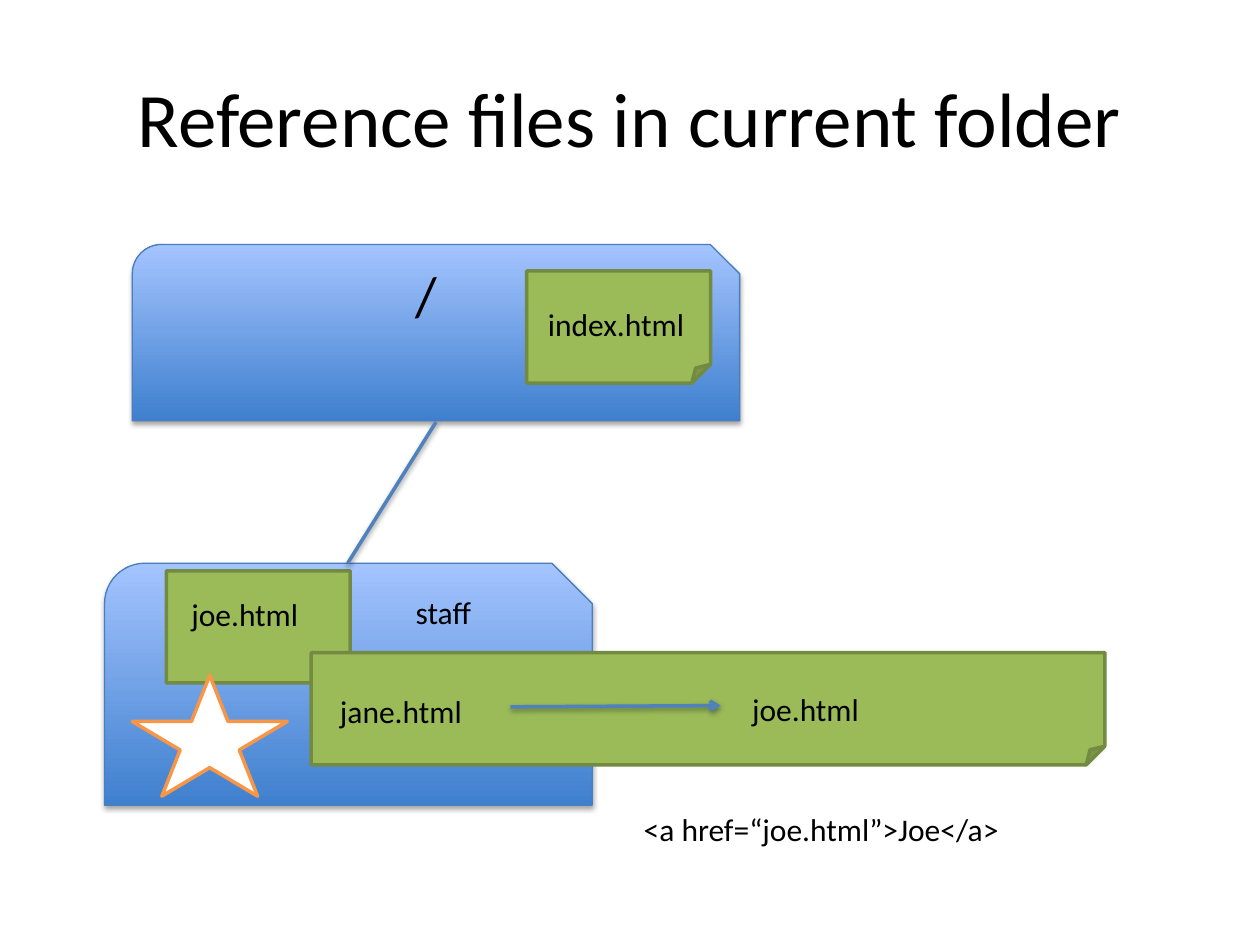
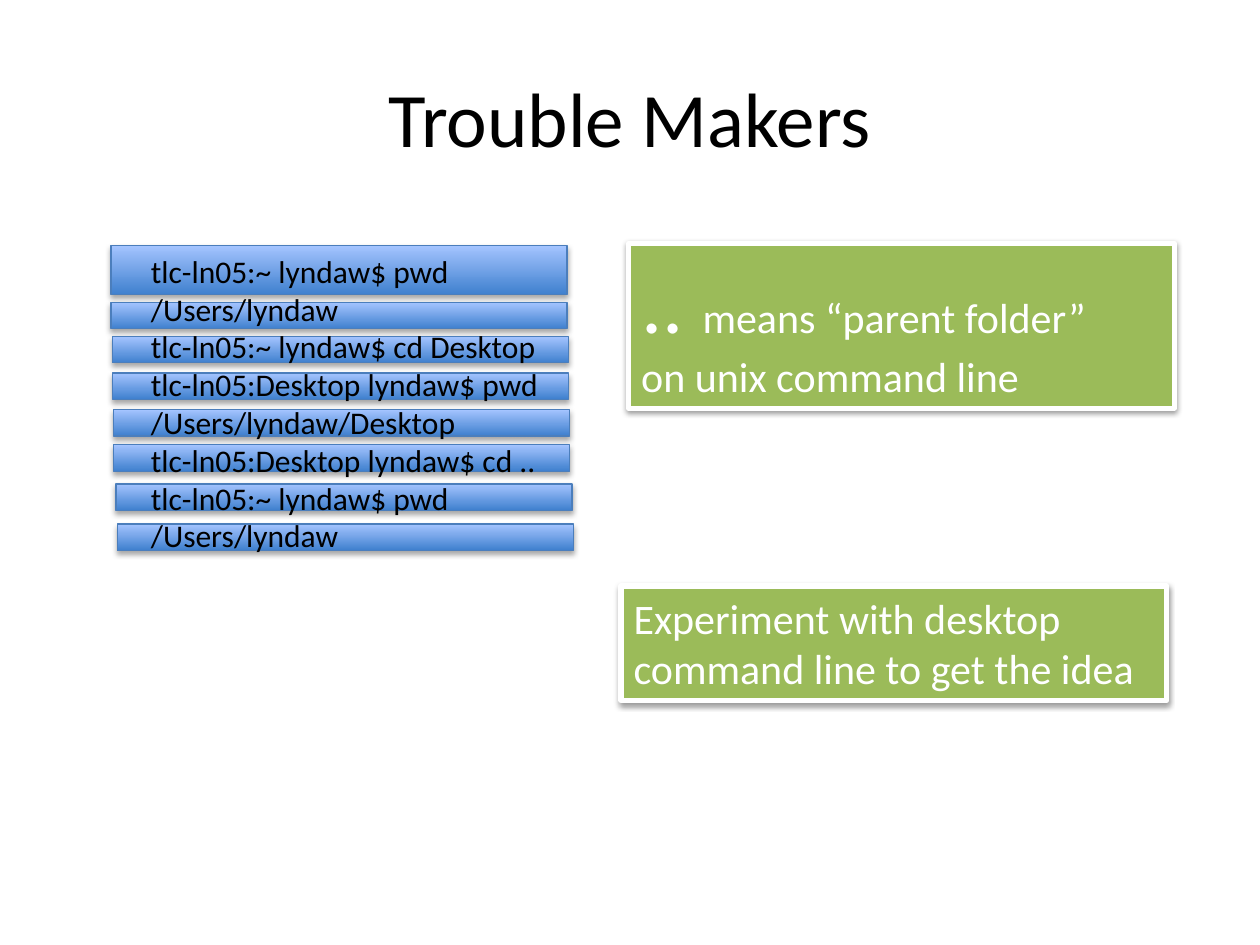
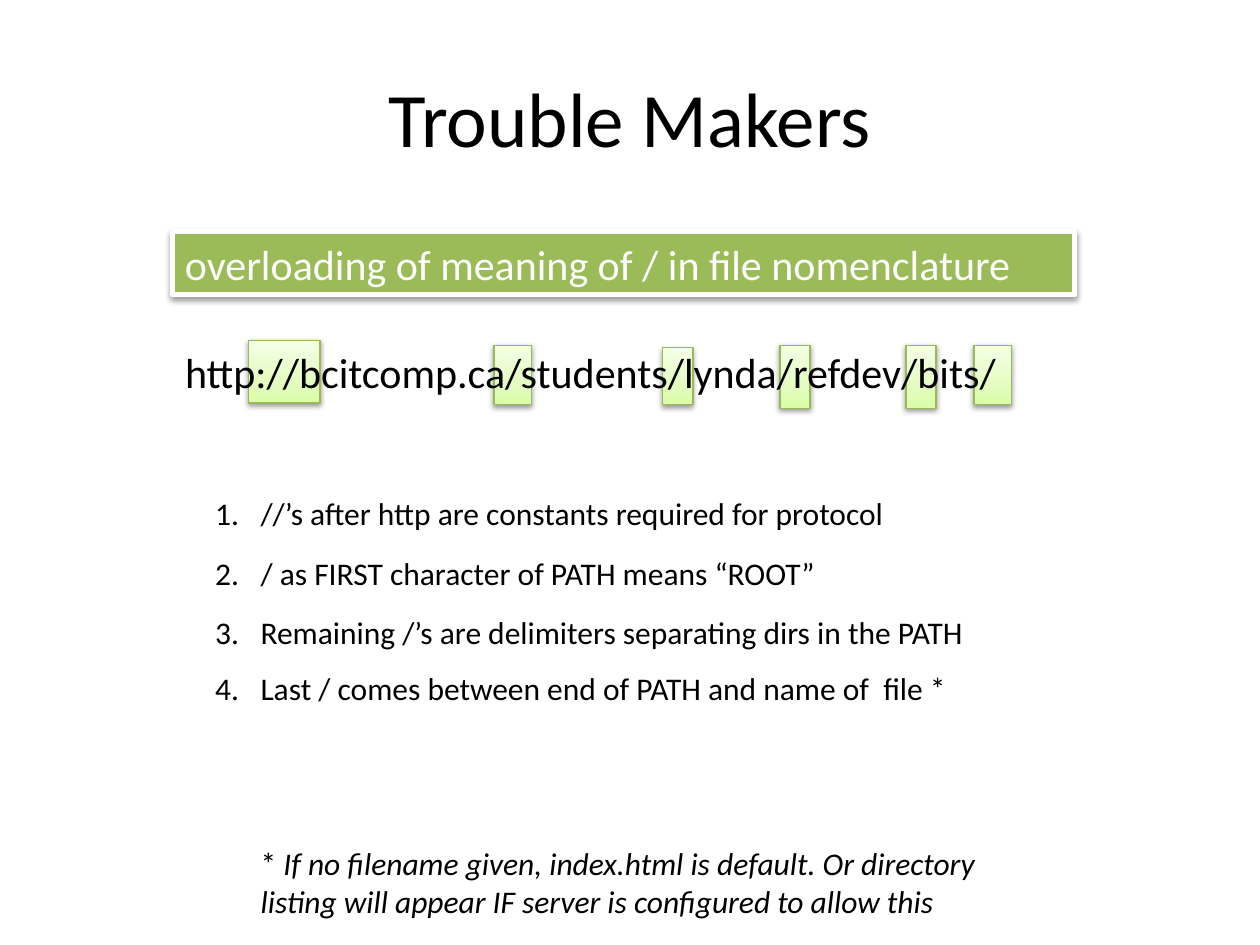
"""Build three slides on file references, parent folders and slashes in addresses."""
from copy import deepcopy

from lxml.etree import SubElement
from pptx import Presentation
from pptx.dml.color import RGBColor
from pptx.enum.shapes import MSO_CONNECTOR, MSO_SHAPE
from pptx.enum.text import MSO_ANCHOR, PP_ALIGN
from pptx.oxml.ns import qn
from pptx.util import Inches, Pt

COLORS = {
    "black": "000000", "white": "FFFFFF", "leaf": "9BBB59", "leaf edge": "738A42",
    "blue": "4F81BD", "blue edge": "4B7EBC", "deep blue": "3F80CE", "pale blue": "A4C4FF",
    "orange": "F79646", "mint edge": "98B955", "mint": "DAFDA7", "pale mint": "E4FCC2",
    "mist": "F5FFE7",
}
LOOKS = {
    "folder": {"fill": [(0, "deep blue"), (1, "pale blue")], "line": ("blue edge", 0.75), "shadow": (35, 1.8)},
    "file": {"fill": [(0, "leaf")], "line": ("leaf edge", 2)},
    "star": {"fill": [(0, "white")], "line": ("orange", 2)},
    "link": {"line": ("blue", 2), "shadow": (38, 1.6)},
    "callout": {"fill": [(0, "leaf")], "line": ("white", 3), "shadow": (38, 1.6)},
    "marker": {"fill": [(0, "mint"), (0.35, "pale mint"), (1, "mist")], "line": ("mint edge", 0.75),
               "shadow": (38, 1.6)},
}
FONT = "Calibri"
COLUMNS, ROWS = 100, 75
TITLE_BOX = (5, 3, 90, 12.5)

presentation = Presentation()
presentation.slide_width, presentation.slide_height = Inches(10), Inches(7.5)
column = presentation.slide_width / COLUMNS
row = presentation.slide_height / ROWS


def draw(slide, kind, box, look_name=None):
    """Add a text box (no kind), connector or preset shape at grid places, with a named look."""
    place = [round(value * unit) for value, unit in zip(box, (column, row, column, row))]
    if kind is None:
        return slide.shapes.add_textbox(*place)
    look = LOOKS[look_name]
    if kind == MSO_CONNECTOR.STRAIGHT and look_name == "link":
        shape = slide.shapes.add_connector(kind, *place)
    else:
        shape = slide.shapes.add_shape(kind, *place)
        stops = look["fill"]
        if len(stops) == 1:
            shape.fill.solid()
            shape.fill.fore_color.rgb = RGBColor.from_string(COLORS[stops[0][1]])
        else:
            shape.fill.gradient()
            shape.fill.gradient_angle = 90
            stop_list = shape._element.spPr.find(".//" + qn("a:gsLst"))
            for _ in stops[2:]:
                stop_list.insert(1, deepcopy(stop_list[0]))
            for stop, (position, color) in zip(shape.fill.gradient_stops, stops):
                stop.position = position
                stop.color.rgb = RGBColor.from_string(COLORS[color])
    color, width = look["line"]
    shape.line.color.rgb = RGBColor.from_string(COLORS[color])
    shape.line.width = Pt(width)
    effects = SubElement(shape._element.spPr, qn("a:effectLst"))
    if "shadow" in look:
        opacity, distance = look["shadow"]
        shadow = SubElement(effects, qn("a:outerShdw"), blurRad=str(Pt(3.1)), dist=str(Pt(distance)),
                            dir="5400000", rotWithShape="0")
        shadow_color = SubElement(shadow, qn("a:srgbClr"), val=COLORS["black"])
        SubElement(shadow_color, qn("a:alpha"), val=str(opacity * 1000))
    return shape


def write(shape, lines, size=18, color="black", alignment=PP_ALIGN.LEFT, anchor=MSO_ANCHOR.TOP):
    """Fill a shape with one paragraph a line and return the paragraphs."""
    frame = shape.text_frame
    frame.word_wrap = True
    frame.vertical_anchor = anchor
    frame.text = "\n".join(lines)
    for paragraph in frame.paragraphs:
        paragraph.alignment = alignment
        paragraph.font.name = FONT
        paragraph.font.size = Pt(size)
        paragraph.font.color.rgb = RGBColor.from_string(COLORS[color])
    return frame.paragraphs


slides = []
for title in ("Reference files in current folder", "Trouble Makers", "Trouble Makers"):
    slide = presentation.slides.add_slide(presentation.slide_layouts[6])
    slides.append(slide)
    if title != "Trouble Makers":
        write(draw(slide, None, TITLE_BOX), [title], 44, "black", PP_ALIGN.CENTER, MSO_ANCHOR.MIDDLE)
    else:
        write(draw(slide, None, TITLE_BOX), [title], 44, "black", PP_ALIGN.CENTER, MSO_ANCHOR.MIDDLE)
folder_slide, terminal_slide, address_slide = slides

for box in ((10.5, 19.4, 48.2, 14), (8.3, 44.7, 38.7, 19.2)):
    draw(folder_slide, MSO_SHAPE.SNIP_ROUND_RECTANGLE, box, "folder")
for box in ((41.8, 21.5, 14.6, 8.9), (13.2, 45.3, 14.6, 8.9), (24.7, 51.8, 63, 8.9)):
    draw(folder_slide, MSO_SHAPE.FOLDED_CORNER, box, "file")
draw(folder_slide, MSO_CONNECTOR.STRAIGHT, (34.6, 33.5, 27.6, 44.7), "link")
draw(folder_slide, MSO_SHAPE.STAR_5_POINT, (10.5, 53.6, 12.3, 9.6), "star")
arrow = draw(folder_slide, MSO_CONNECTOR.STRAIGHT, (40.5, 56.1, 57.2, 56), "link")
SubElement(arrow.line._get_or_add_ln(), qn("a:tailEnd"), type="arrow")
for label, size, box in (
    ("/", 32, (32, 20.2, 6.3, 6.4)),
    ("index.html", 18, (42.5, 23.7, 14.6, 4)),
    ("joe.html", 18, (14.2, 46.7, 13.4, 4)),
    ("jane.html", 18, (26, 54.4, 12.3, 4)),
    ("staff", 18, (32, 46.6, 15, 4)),
    ("joe.html", 18, (58.7, 54.3, 18.1, 4.2)),
    ("<a href=“joe.html”>Joe</a>", 18, (50.1, 63.8, 39.8, 4)),
):
    write(draw(folder_slide, None, box), [label], size)

for left, top, height in (
    (8.8, 19.5, 3.9), (8.8, 24, 2.1), (8.9, 26.7, 2.1), (8.9, 29.6, 2.1),
    (9, 32.5, 2.1), (9, 35.3, 2.1), (9.2, 38.4, 2.1), (9.3, 41.6, 2.1),
):
    draw(terminal_slide, MSO_SHAPE.RECTANGLE, (left, top, 36.2, height), "folder")
write(draw(terminal_slide, None, (11, 19.5, 40.6, 28.3)), [
    "tlc-ln05:~ lyndaw$ pwd",
    "/Users/lyndaw",
    "tlc-ln05:~ lyndaw$ cd Desktop",
    "tlc-ln05:Desktop lyndaw$ pwd",
    "/Users/lyndaw/Desktop",
    "tlc-ln05:Desktop lyndaw$ cd ..",
    "tlc-ln05:~ lyndaw$ pwd",
    "/Users/lyndaw",
])
parent_callout = draw(terminal_slide, MSO_SHAPE.RECTANGLE, (49.9, 19.3, 43.3, 13.1), "callout")
meaning = write(parent_callout, [".. ", "on unix command line"], 24, "white")[0]
meaning.runs[0].font.size = Pt(48)
meaning.add_run().text = "means “parent folder”"
experiment_callout = draw(terminal_slide, MSO_SHAPE.RECTANGLE, (49.3, 46.5, 43.3, 9.1), "callout")
write(experiment_callout, ["Experiment with desktop command line to get the idea"], 24, "white")

for box in (
    (77.3, 27.4, 3, 4.7), (71.9, 27.4, 2.4, 5), (61.9, 27.4, 2.4, 5),
    (52.6, 27.6, 2.4, 4.5), (39.2, 27.4, 3, 4.7), (19.7, 27, 5.7, 5),
):
    draw(address_slide, MSO_SHAPE.RECTANGLE, box, "marker")
write(draw(address_slide, None, (13.7, 27, 69.9, 5)), ["http://bcitcomp.ca/students/lynda/refdev/bits/"], 24)
overload_callout = draw(address_slide, MSO_SHAPE.RECTANGLE, (13.7, 18.4, 71.6, 5), "callout")
write(overload_callout, ["overloading of meaning of / in file nomenclature"], 24, "white")
for number, (rule, top) in enumerate((
    ("//’s after http are constants required for protocol", 38.7),
    ("/ as FIRST character of PATH means “ROOT”", 43.5),
    ("Remaining /’s are delimiters separating dirs in the PATH", 48.2),
    ("Last / comes between end of PATH and name of  file *", 52.6),
), start=1):
    paragraph = write(draw(address_slide, None, (16.1, top, 67.4, 4)), [rule])[0]
    properties = paragraph._p.get_or_add_pPr()
    properties.set("marL", str(round(3.6 * column)))
    properties.set("indent", str(round(-3.6 * column)))
    numbering = properties.makeelement(qn("a:buAutoNum"), type="arabicPeriod", startAt=str(number))
    properties.insert(0, numbering)
footnote = write(draw(address_slide, None, (19.7, 66.5, 60.5, 7.1)), ["* "])[0]
explanation = footnote.add_run()
explanation.text = ("If no filename given, index.html is default. "
                    "Or directory listing will appear IF server is configured to allow this")
explanation.font.italic = True

presentation.save("out.pptx")
